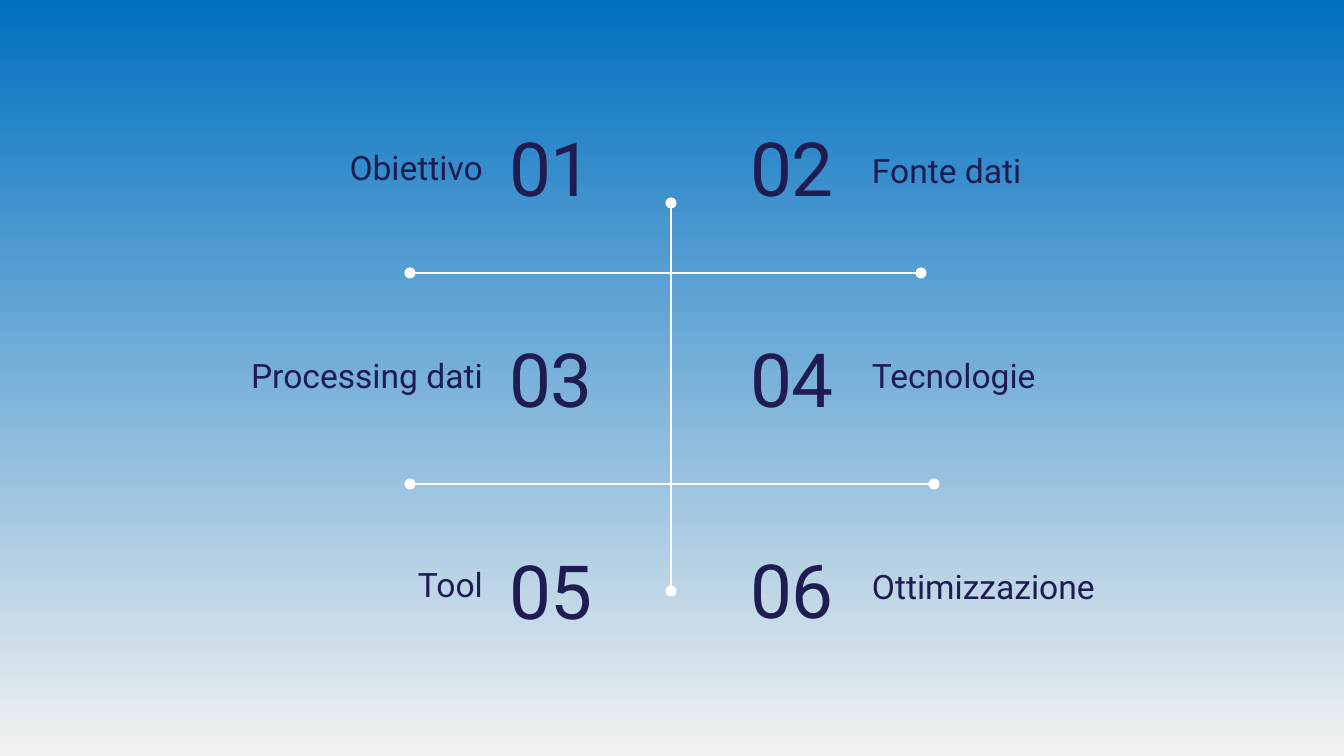
from dataclasses import dataclass
from lxml.etree import SubElement
from pptx import Presentation
from pptx.dml.color import RGBColor
from pptx.enum.shapes import MSO_CONNECTOR
from pptx.enum.text import MSO_ANCHOR as Anchor, MSO_AUTO_SIZE, PP_ALIGN as Align
from pptx.oxml.ns import qn
from pptx.util import Emu, Pt


@dataclass(frozen=True)
class Theme:
    font: str = "Roboto"
    ink: RGBColor = RGBColor(0x1F, 0x1C, 0x51)
    rule: RGBColor = RGBColor(0xFF, 0xFF, 0xFF)
    sky: RGBColor = RGBColor(0x00, 0x70, 0xC0)
    mist: RGBColor = RGBColor(0xF2, 0xF2, 0xF2)
    number_size: Pt = Pt(40)
    label_size: Pt = Pt(18)
    rule_width: Pt = Pt(1.5)


THEME = Theme()
EMU_PER_PX = 914400 / 134.4
WIDTH, HEIGHT = 1344, 756
INSET = 13
NUMBER_W, NUMBER_H = 175, 116
LABEL_W, LABEL_H = 401, 67
LABEL_GAP = 12


def px(length):
    """Turn pixels into EMU."""
    return Emu(round(length * EMU_PER_PX))


def write(holder, box, text, size, align, anchor):
    """Place one line of text in a box given as left, top, width, height."""
    holder.left, holder.top, holder.width, holder.height = map(px, box)
    frame = holder.text_frame
    frame.text = text
    frame.word_wrap = True
    frame.auto_size = MSO_AUTO_SIZE.NONE
    frame.vertical_anchor = anchor
    frame.margin_left = frame.margin_right = px(INSET)
    frame.margin_top = frame.margin_bottom = px(INSET)
    paragraph = frame.paragraphs[0]
    paragraph.alignment = align
    paragraph.font.name = THEME.font
    paragraph.font.size = size
    paragraph.font.color.rgb = THEME.ink


def add_box(slide):
    """Add a text box that is sized when its text is written."""
    return slide.shapes.add_textbox(0, 0, 0, 0)


def add_topic(slide, box, number, label, label_top, on_left):
    """Put a number in its box and its label on the outer side."""
    left, top, width, _ = box
    number_holder = slide.shapes.title if number == "01" else add_box(slide)
    inner, outer = (Align.LEFT, Align.RIGHT) if on_left else (Align.RIGHT, Align.LEFT)
    write(number_holder, box, number, THEME.number_size, inner, Anchor.MIDDLE)
    label_left = left - LABEL_W if on_left else left + width + LABEL_GAP
    label_box = (label_left, top + label_top, LABEL_W, LABEL_H)
    write(add_box(slide), label_box, label, THEME.label_size, outer, Anchor.BOTTOM)


def add_rule(slide, x1, y1, x2, y2):
    """Draw a white line with a dot at both ends."""
    rule = slide.shapes.add_connector(MSO_CONNECTOR.STRAIGHT, *map(px, (x1, y1, x2, y2)))
    rule.line.color.rgb = THEME.rule
    rule.line.width = THEME.rule_width
    properties = rule._element.spPr
    outline = properties.find(qn("a:ln"))
    for end in ("a:headEnd", "a:tailEnd"):
        SubElement(outline, qn(end), type="oval")
    SubElement(properties, qn("a:effectLst"))


def add_grid(slide, box):
    """Draw the dividing rules within left, top, width, height."""
    left, top, width, height = box
    middle = left + 261
    add_rule(slide, middle, top, middle, top + height)
    add_rule(slide, left, top + 70, left + width - 13, top + 70)
    add_rule(slide, left, top + 281, left + width, top + 281)


def paint_background(slide):
    """Fill the background from blue at the top to pale grey."""
    fill = slide.background.fill
    fill.gradient()
    fill.gradient_angle = 270
    for stop, color in zip(fill.gradient_stops, (THEME.sky, THEME.mist)):
        stop.color.rgb = color


def build_agenda(slide, box):
    """Lay out six topics in two columns around the centre of the box."""
    left, top, width, _ = box
    centre = left + width // 2
    paint_background(slide)
    add_grid(slide, (centre - 262, top + 203, 524, 388))
    # Each topic: text, number top, label offset from the number top
    topics = [
        ("Obiettivo", 109, 24), ("Fonte dati", 109, 27),
        ("Processing dati", 320, 21), ("Tecnologie", 320, 21),
        ("Tool", 532, 18), ("Ottimizzazione", 531, 21),
    ]
    for index, (label, number_top, label_top) in enumerate(topics):
        on_left = index % 2 == 0
        number_left = centre - NUMBER_W - 1 if on_left else centre
        number_box = (number_left, top + number_top, NUMBER_W, NUMBER_H)
        add_topic(slide, number_box, f"{index + 1:02}", label, label_top, on_left)


deck = Presentation()
deck.slide_width, deck.slide_height = px(WIDTH), px(HEIGHT)
title_only = deck.slide_layouts[5]
build_agenda(deck.slides.add_slide(title_only), (0, 0, WIDTH, HEIGHT))
deck.save("out.pptx")
